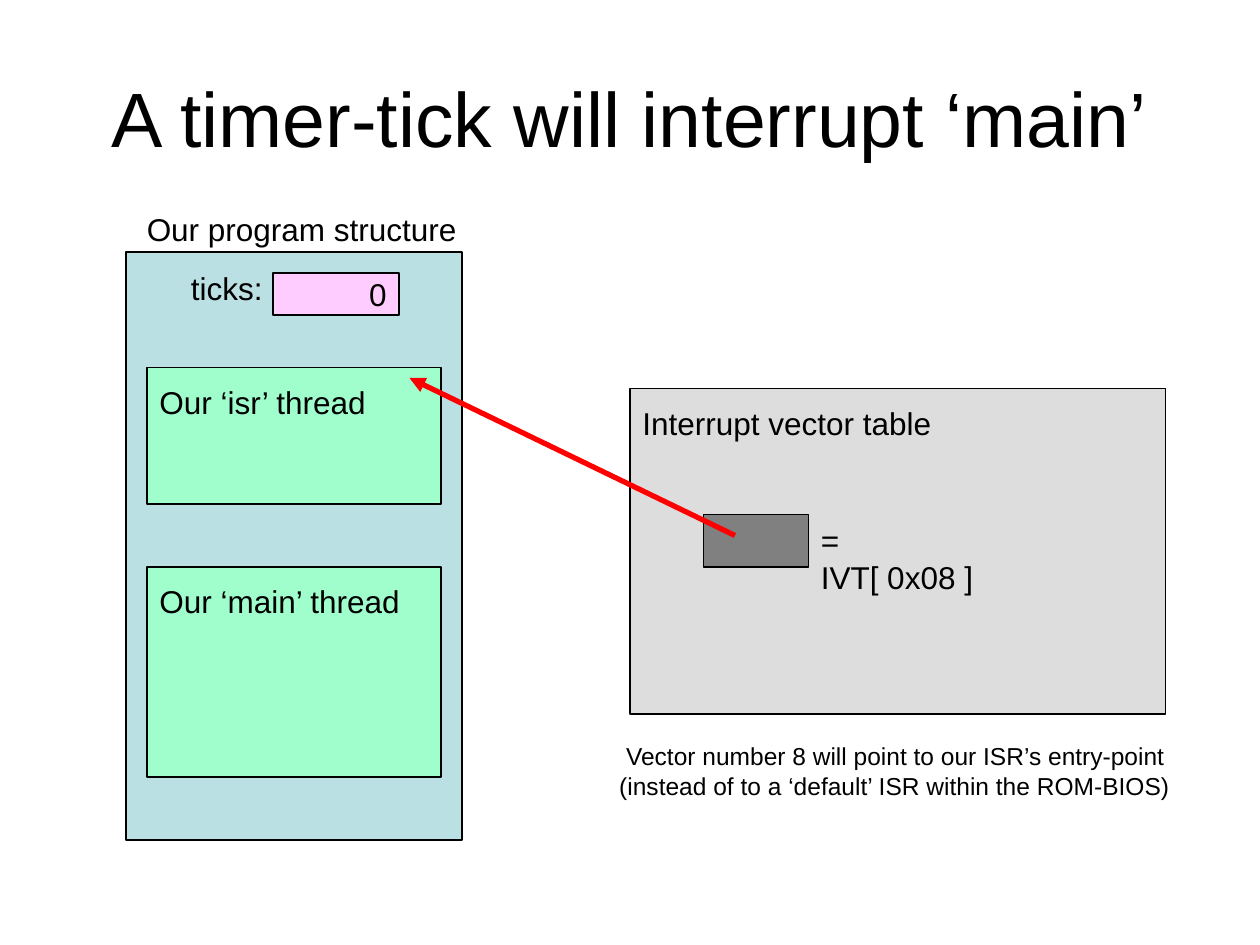
from lxml.etree import SubElement
from pptx import Presentation
from pptx.dml.color import RGBColor
from pptx.enum.shapes import MSO_CONNECTOR, MSO_SHAPE
from pptx.enum.text import MSO_ANCHOR, MSO_AUTO_SIZE, PP_ALIGN
from pptx.oxml.ns import qn
from pptx.util import Inches, Pt

UNIT = Inches(1) // 12
FONT = "Arial"
BLACK = RGBColor(0x00, 0x00, 0x00)
TEAL = RGBColor(0xBB, 0xE0, 0xE3)
MINT = RGBColor(0xA0, 0xFE, 0xCD)
PINK = RGBColor(0xFF, 0xCC, 0xFF)
SILVER = RGBColor(0xDD, 0xDD, 0xDD)
GRAY = RGBColor(0x80, 0x80, 0x80)
RED = RGBColor(0xFF, 0x00, 0x00)

FRAME = {
    "margin_left": Inches(0.1),
    "margin_right": Inches(0.1),
    "margin_top": Inches(0.05),
    "margin_bottom": Inches(0.05),
}


def grid(*cells):
    """Convert grid columns and rows to lengths."""
    return [round(c * UNIT) for c in cells]


def apply(obj, values):
    """Set attributes of an object from a dict."""
    for name, value in values.items():
        setattr(obj, name, value)


def write(sp, lines, size=18, align=PP_ALIGN.LEFT, **frame):
    """Fill a shape with formatted paragraphs."""
    tf = sp.text_frame
    apply(tf, {**FRAME, **frame})
    tf.text = "\n".join(lines)
    for p in tf.paragraphs:
        p.alignment = align
        for r in p.runs:
            apply(r.font, {"name": FONT, "size": Pt(size)})
            r.font.color.rgb = BLACK


def add_title(s, text, cells):
    """Place and format the title placeholder."""
    sp = s.shapes.title
    apply(sp, dict(zip(("left", "top", "width", "height"), grid(*cells))))
    write(sp, [text], 44, PP_ALIGN.CENTER, vertical_anchor=MSO_ANCHOR.MIDDLE,
          word_wrap=True, auto_size=MSO_AUTO_SIZE.NONE)


def add_box(s, cells, color, text=None, **style):
    """Add an outlined rectangle with optional text."""
    sp = s.shapes.add_shape(MSO_SHAPE.RECTANGLE, *grid(*cells))
    sp.shadow.inherit = False
    sp.fill.solid()
    sp.fill.fore_color.rgb = color
    sp.line.color.rgb = BLACK
    sp.line.width = Pt(0.75)
    if text:
        top = {"vertical_anchor": MSO_ANCHOR.TOP, "margin_top": Inches(0.12)}
        write(sp, [text], **{"word_wrap": False, **top, **style})


def add_label(s, cells, *lines, size=18):
    """Add a free-standing unwrapped text box."""
    sp = s.shapes.add_textbox(*grid(*cells))
    write(sp, lines, size, word_wrap=False,
          auto_size=MSO_AUTO_SIZE.SHAPE_TO_FIT_TEXT)


def add_arrow(s, start, end):
    """Add a red line with an arrowhead at its end."""
    cx = s.shapes.add_connector(MSO_CONNECTOR.STRAIGHT, *grid(*start, *end))
    cx.line.color.rgb = RED
    cx.line.width = Pt(3)
    SubElement(cx.line._get_or_add_ln(), qn("a:tailEnd"), type="triangle")
    SubElement(cx._element.spPr, qn("a:effectLst"))


def main():
    """Build the timer-tick slide."""
    prs = Presentation()
    apply(prs, {"slide_width": Inches(10), "slide_height": Inches(7.5)})
    s = prs.slides.add_slide(prs.slide_layouts[5])
    add_title(s, "A timer-tick will interrupt ‘main’", (6, 3.6, 108, 15))

    add_box(s, (12, 24, 32, 56), TEAL)
    add_box(s, (14, 35, 28, 13), MINT, "Our ‘isr’ thread")
    add_box(s, (14, 54, 28, 20), MINT, "Our ‘main’ thread")
    add_box(s, (26, 26, 12, 4), PINK, "0", align=PP_ALIGN.RIGHT,
            vertical_anchor=MSO_ANCHOR.MIDDLE, margin_top=Inches(0.05))
    add_label(s, (12.8, 19.4, 32, 4.8), "Our program structure")
    add_label(s, (17, 25, 9.2, 4.8), "ticks:")

    add_box(s, (60, 37, 51, 31), SILVER, "Interrupt vector table")
    add_box(s, (67, 49, 10, 5), GRAY)
    add_label(s, (77, 49, 19.4, 4.8), "= IVT[ 0x08 ]")
    add_arrow(s, (70, 51), (39, 36))
    add_label(s, (57.8, 70, 55, 6.8),
              " Vector number 8 will point to our ISR’s entry-point",
              "(instead of to a ‘default’ ISR within the ROM-BIOS)", size=14)
    prs.save("out.pptx")


if __name__ == "__main__":
    main()
